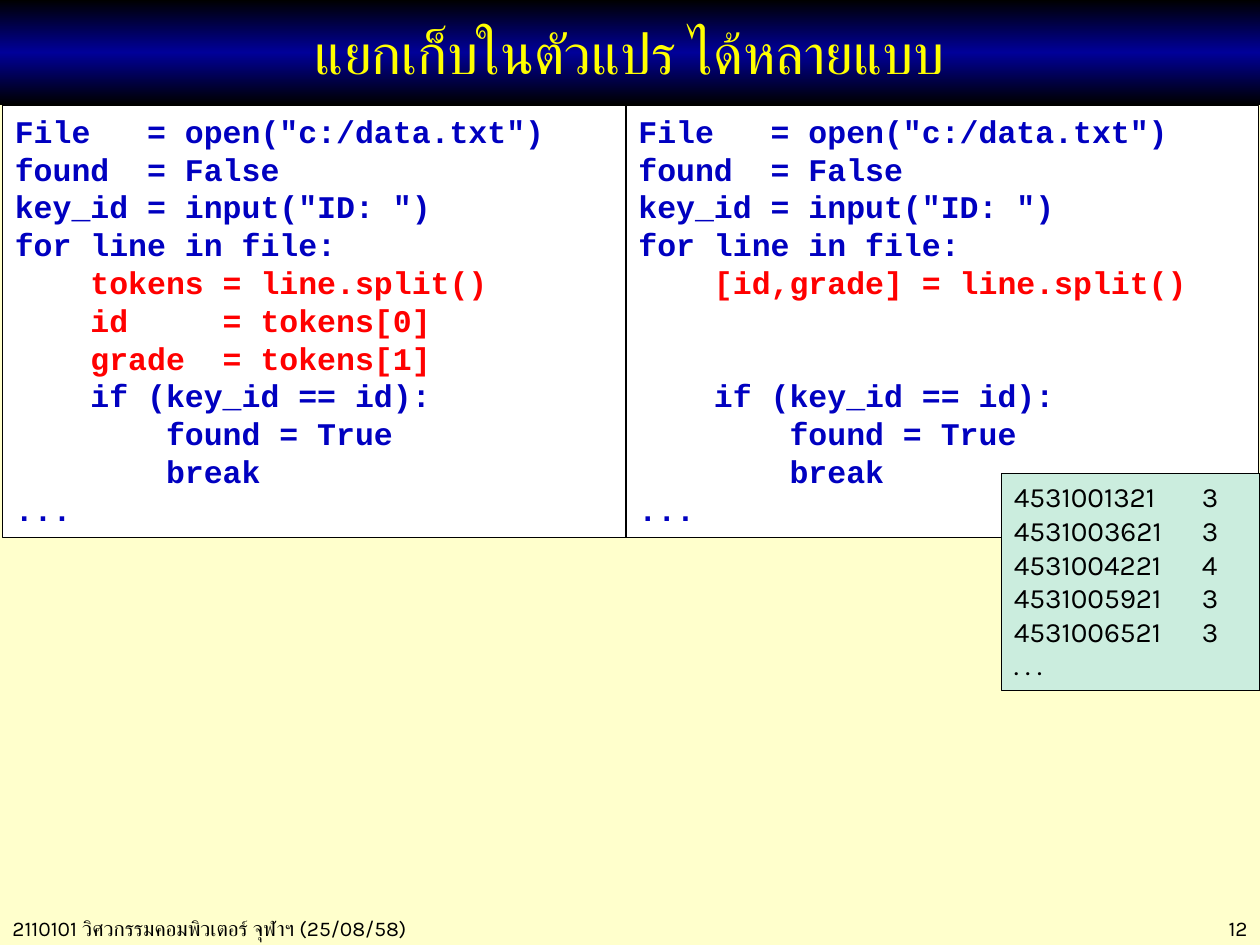
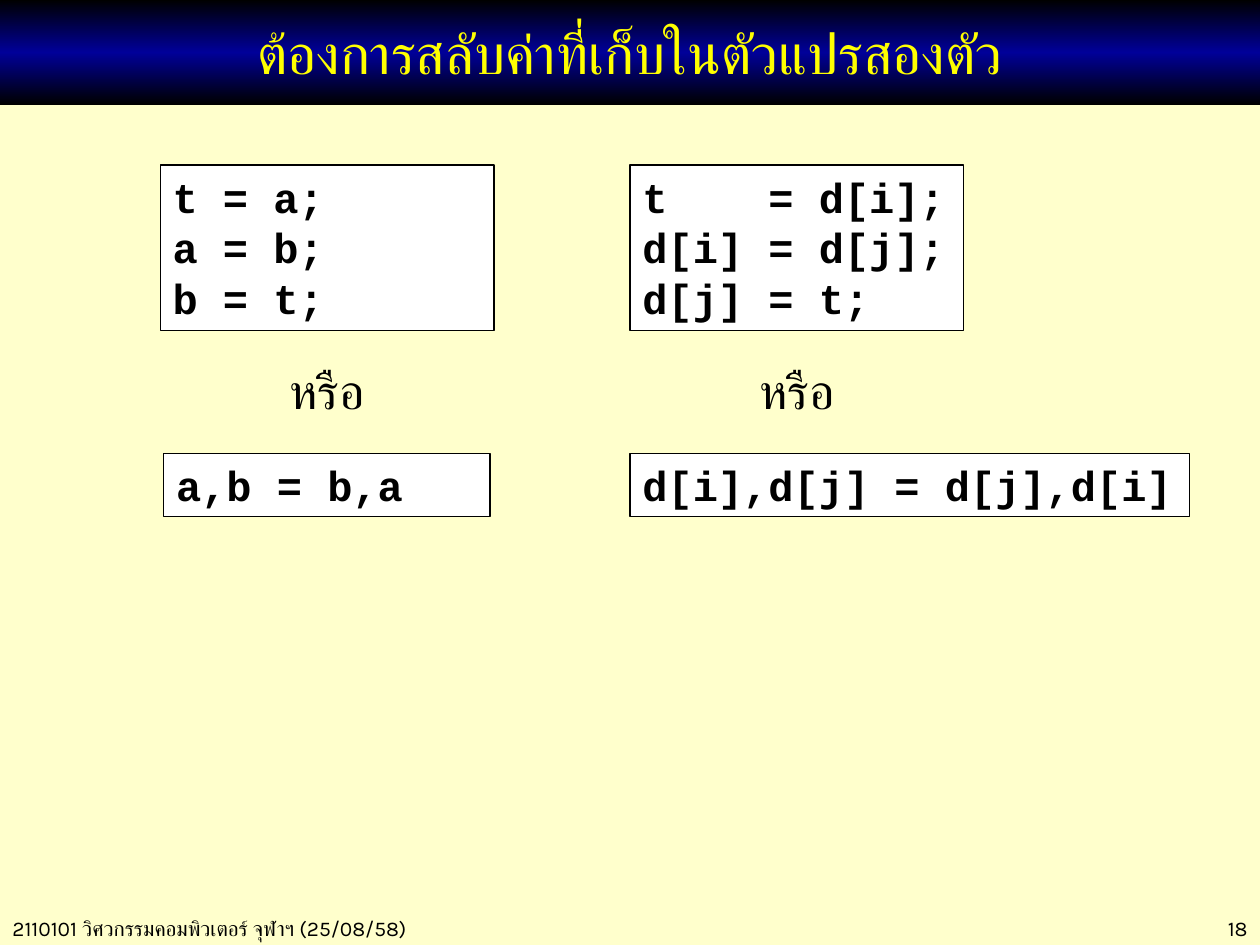
import copy
from collections import namedtuple

import lxml.etree
import pptx
import pptx.dml.color
import pptx.enum.shapes
import pptx.enum.text
import pptx.oxml.ns
import pptx.util

Cm = pptx.util.Cm
Pt = pptx.util.Pt
RGBColor = pptx.dml.color.RGBColor
Align = pptx.enum.text.PP_ALIGN
qn = pptx.oxml.ns.qn
Box = namedtuple("Box", "left top width height")

BLACK = RGBColor(0x00, 0x00, 0x00)
WHITE = RGBColor(0xFF, 0xFF, 0xFF)
CREAM = RGBColor(0xFF, 0xFF, 0xCC)
NAVY = RGBColor(0x00, 0x00, 0x99)
YELLOW = RGBColor(0xFF, 0xFF, 0x00)
CODE_BLUE = RGBColor(0x00, 0x00, 0xC0)
CODE_RED = RGBColor(0xFF, 0x00, 0x00)
MINT = RGBColor(0xCB, 0xED, 0xDE)

BODY_FONT = "Karla"
CODE_FONT = "Courier New"
LINE_FACTOR = 1.2
SLIDE_WIDTH, SLIDE_HEIGHT = 25.4, 19.05
TITLE_BOX = Box(0, 0, SLIDE_WIDTH, 2.11)
FOOTER_HEIGHT = 0.76
FOOTER_TEXT = "2110101 วิศวกรรมคอมพิวเตอร์ จุฬาฯ (25/08/58)"

OPENING = ['File   = open("c:/data.txt")', "found  = False",
           'key_id = input("ID: ")', "for line in file:"]
CLOSING = ["    if (key_id == id):", "        found = True", "        break", "..."]
TOKEN_LINES = ["    tokens = line.split()", "    id     = tokens[0]",
               "    grade  = tokens[1]"]
UNPACK_LINES = ["    [id,grade] = line.split()"]
GRADES = [("4531001321", 3), ("4531003621", 3), ("4531004221", 4),
          ("4531005921", 3), ("4531006521", 3)]


def lengths(box):
    """Return the sides of a box given in centimetres as lengths."""
    return [Cm(side) for side in box]


def style_paragraph(paragraph, size, color=BLACK, font=BODY_FONT, bold=False,
                    align=Align.LEFT):
    """Format a paragraph, using the same typeface for Thai letters."""
    paragraph.alignment = align
    paragraph.font.size = Pt(size)
    paragraph.font.bold = bold
    paragraph.font.color.rgb = color
    paragraph.font.name = font
    defaults = paragraph._p.pPr.find(qn("a:defRPr"))
    lxml.etree.SubElement(defaults, qn("a:cs")).set("typeface", font)


def add_label(slide, box, text, size, align=Align.LEFT):
    """Add a one-line text box."""
    frame = slide.shapes.add_textbox(*lengths(box)).text_frame
    frame.word_wrap = True
    frame.text = text
    style_paragraph(frame.paragraphs[0], size, align=align)


def add_panel(slide, box, lines, size, fill=WHITE):
    """Add an outlined panel with evenly spaced lines and return its paragraphs."""
    shape = slide.shapes.add_shape(pptx.enum.shapes.MSO_SHAPE.RECTANGLE, *lengths(box))
    shape.shadow.inherit = False
    shape.fill.solid()
    shape.fill.fore_color.rgb = fill
    shape.line.color.rgb = BLACK
    shape.line.width = Pt(0.75)
    frame = shape.text_frame
    frame.word_wrap = True
    frame.vertical_anchor = pptx.enum.text.MSO_ANCHOR.TOP
    frame.text = "\n".join(lines)
    for paragraph in frame.paragraphs:
        paragraph.line_spacing = Pt(size * LINE_FACTOR)
    return frame.paragraphs


def add_search_code(slide, box, split_lines):
    """Add the search loop with its splitting step in red."""
    size = 18
    paragraphs = add_panel(slide, box, OPENING + split_lines + CLOSING, size)
    split_end = len(OPENING) + len(split_lines)
    missing_lines = len(TOKEN_LINES) - len(split_lines)
    if missing_lines:
        paragraphs[split_end].space_before = Pt(missing_lines * size * LINE_FACTOR)
    for index, paragraph in enumerate(paragraphs):
        color = CODE_RED if len(OPENING) <= index < split_end else CODE_BLUE
        style_paragraph(paragraph, size, color, CODE_FONT, True)


def add_grade_file(slide, box):
    """Add the sample data file with grades at a tab stop."""
    lines = [f"{student}\t{grade}" for student, grade in GRADES] + [". . ."]
    for paragraph in add_panel(slide, box, lines, 16, MINT):
        tabs = lxml.etree.SubElement(paragraph._p.get_or_add_pPr(), qn("a:tabLst"))
        lxml.etree.SubElement(tabs, qn("a:tab"), pos=str(Cm(3.79)), algn="l")
        style_paragraph(paragraph, 16)


def add_swap_code(slide, box, lines):
    """Add a panel of swap statements."""
    for paragraph in add_panel(slide, box, lines, 24):
        style_paragraph(paragraph, 24, font=CODE_FONT, bold=True)


def add_swap_column(slide, box, long_form, short_form, short_box):
    """Add the long swap, the word between, and the short swap below."""
    add_swap_code(slide, box, long_form)
    width = 2.18
    middle = box.left + box.width / 2
    add_label(slide, Box(middle - width / 2, box.top + 3.81, width, 1.45),
              "หรือ", 28, Align.CENTER)
    add_swap_code(slide, short_box, [short_form])


def fill_title(slide, text):
    """Place the title on its gradient band."""
    title = slide.shapes.title
    title.left, title.top, title.width, title.height = lengths(TITLE_BOX)
    title.fill.gradient()
    title.fill.gradient_angle = 90
    stop_list = title._element.find(".//" + qn("a:gsLst"))
    stop_list.append(copy.deepcopy(stop_list[0]))
    for index, stop in enumerate(title.fill.gradient_stops):
        stop.position = index / 2
        stop.color.rgb = (BLACK, NAVY, BLACK)[index]
    frame = title.text_frame
    frame.text = text
    frame.word_wrap = True
    frame.auto_size = pptx.enum.text.MSO_AUTO_SIZE.NONE
    frame.vertical_anchor = pptx.enum.text.MSO_ANCHOR.MIDDLE
    style_paragraph(frame.paragraphs[0], 32, YELLOW, align=Align.CENTER)


def add_titled_slide(presentation, title, number):
    """Add a slide with the shared title band and footer."""
    slide = presentation.slides.add_slide(presentation.slide_layouts[5])
    fill_title(slide, title)
    top = 18.34
    add_label(slide, Box(0, top, 9.91, FOOTER_HEIGHT), FOOTER_TEXT, 12)
    width = 3.5
    add_label(slide, Box(SLIDE_WIDTH - width, top, width, FOOTER_HEIGHT),
              str(number), 12, Align.RIGHT)
    return slide


def build_split_slide(presentation):
    """Compare two ways of storing split values."""
    slide = add_titled_slide(presentation, "แยกเก็บในตัวแปร ได้หลายแบบ", 12)
    add_search_code(slide, Box(0.05, 2.13, 12.65, 8.71), TOKEN_LINES)
    add_search_code(slide, Box(12.62, 2.13, 12.75, 8.71), UNPACK_LINES)
    add_grade_file(slide, Box(20.19, 9.55, 5.21, 4.37))


def build_swap_slide(presentation):
    """Show swaps of variables and of list elements."""
    slide = add_titled_slide(presentation, "ต้องการสลับค่าที่เก็บในตัวแปรสองตัว", 18)
    add_swap_column(slide, Box(3.23, 3.33, 6.73, 3.33),
                    ["t = a;", "a = b;", "b = t;"],
                    "a,b = b,a", Box(3.3, 9.14, 6.58, 1.27))
    add_swap_column(slide, Box(12.7, 3.33, 6.73, 3.33),
                    ["t    = d[i];", "d[i] = d[j];", "d[j] = t;"],
                    "d[i],d[j] = d[j],d[i]", Box(12.7, 9.14, 11.28, 1.27))


def main():
    """Build and save the presentation."""
    presentation = pptx.Presentation()
    presentation.slide_width = Cm(SLIDE_WIDTH)
    presentation.slide_height = Cm(SLIDE_HEIGHT)
    background = presentation.slide_master.background.fill
    background.solid()
    background.fore_color.rgb = CREAM
    build_split_slide(presentation)
    build_swap_slide(presentation)
    presentation.save("out.pptx")


if __name__ == "__main__":
    main()
